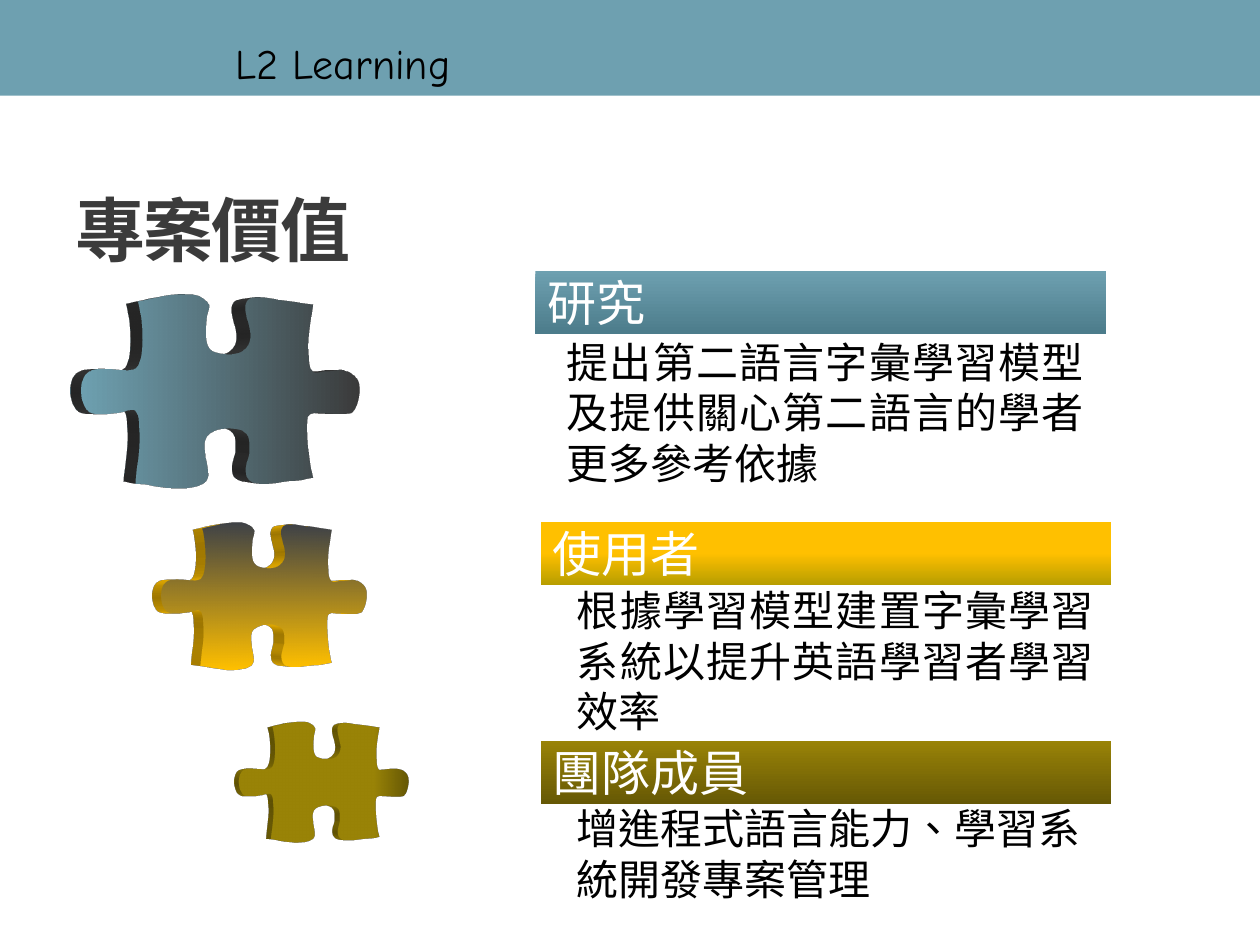
from lxml import etree
from pptx import Presentation
from pptx.dml.color import RGBColor
from pptx.enum.shapes import MSO_SHAPE
from pptx.enum.text import MSO_ANCHOR, PP_ALIGN
from pptx.oxml.ns import qn
from pptx.util import Inches, Pt

RECTANGLE = MSO_SHAPE.RECTANGLE
MIDDLE, TOP = MSO_ANCHOR.MIDDLE, MSO_ANCHOR.TOP
LEFT, JUSTIFY = PP_ALIGN.LEFT, PP_ALIGN.JUSTIFY

WHITE = RGBColor(0xFF, 0xFF, 0xFF)
BLACK = RGBColor(0x00, 0x00, 0x00)
CHARCOAL = RGBColor(0x3B, 0x3B, 0x3B)
SLATE = RGBColor(0x3F, 0x42, 0x47)
TEAL = RGBColor(0x6E, 0xA0, 0xB0)
DARK_TEAL = RGBColor(0x4C, 0x7C, 0x8B)
AMBER = RGBColor(0xFF, 0xC0, 0x00)
DARK_AMBER = RGBColor(0xB8, 0x9E, 0x00)
OLIVE = RGBColor(0x99, 0x83, 0x07)
DARK_OLIVE = RGBColor(0x66, 0x58, 0x05)

LATIN_FONT, CHINESE_FONT = "Comic Neue", "Noto Sans CJK SC"
RIGHTWARD, UPWARD, DOWNWARD = 0, 90, 270
BAND_SIZE, BODY_SIZE = (4.53, 0.5), (4.49, 1.18)

PIECE_GRID = (245, 155)
PIECE_START = (244, 74)
PIECE_CURVES = [
    (244, 67, 236, 60, 225, 60), (222, 60, 217, 61, 213, 61),
    (209, 61, 204, 63, 201, 62), (197, 61, 196, 54, 196, 50),
    (194, 35, 198, 19, 200, 7), (190, 6, 182, 5, 171, 4),
    (163, 4, 149, 0, 142, 4), (133, 10, 144, 25, 143, 34),
    (143, 42, 136, 47, 129, 48), (123, 49, 115, 48, 110, 46),
    (102, 42, 104, 28, 105, 19), (106, 16, 107, 13, 107, 10),
    (105, 6, 100, 3, 93, 2), (75, 1, 61, 6, 47, 9),
    (52, 24, 53, 55, 45, 60), (38, 65, 15, 56, 6, 64),
    (0, 69, 0, 83, 5, 90), (9, 97, 20, 95, 30, 94),
    (34, 94, 40, 91, 44, 92), (47, 93, 48, 99, 48, 104),
    (50, 120, 46, 133, 45, 148), (56, 149, 67, 152, 79, 153),
    (91, 153, 104, 152, 106, 145), (107, 142, 105, 133, 104, 130),
    (104, 126, 102, 120, 104, 115), (107, 106, 132, 104, 139, 111),
    (143, 114, 142, 122, 142, 127), (141, 132, 138, 137, 139, 142),
    (140, 156, 164, 151, 178, 150), (186, 150, 193, 149, 200, 148),
    (196, 135, 193, 108, 195, 99), (197, 90, 225, 100, 237, 95),
    (241, 92, 245, 81, 244, 74),
]

PIECES = [
    ((0.58, 2.33, 2.45, 1.55), [(0, TEAL), (1, CHARCOAL)], RIGHTWARD, CHARCOAL, 0.26),
    ((1.84, 5.72, 1.5, 0.97), [(0.78, OLIVE), (1, DARK_OLIVE)], RIGHTWARD, OLIVE, 0.1),
    ((1.22, 4.14, 1.81, 1.18), [(0, AMBER), (1, SLATE)], UPWARD, AMBER, 0.2),
]
SECTIONS = [
    ((4.25, 2.15), (4.21, 2.57), [(0, TEAL), (1, DARK_TEAL)], JUSTIFY,
     "研究", "提出第二語言字彙學習模型及提供關心第二語言的學者更多參考依據"),
    ((4.29, 4.14), (4.29, 4.54), [(0.5, AMBER), (1, DARK_AMBER)], JUSTIFY,
     "使用者", "根據學習模型建置字彙學習系統以提升英語學習者學習效率"),
    ((4.29, 5.88), (4.29, 6.27), [(0, OLIVE), (1, DARK_OLIVE)], LEFT,
     "團隊成員", "增進程式語言能力、學習系統開發專案管理"),
]


def inches(box):
    """Turn a box in inches into lengths."""
    return [Inches(value) for value in box]


def write(shape, text, size, color, name=CHINESE_FONT, anchor=MIDDLE, align=LEFT):
    """Write one formatted paragraph and return it."""
    frame = shape.text_frame
    frame.word_wrap = True
    frame.vertical_anchor = anchor
    paragraph = frame.paragraphs[0]
    paragraph.text = text
    paragraph.alignment = align
    font = paragraph.font
    font.size, font.name, font.color.rgb = Pt(size), name, color
    defaults = paragraph._p.pPr.find(qn("a:defRPr"))
    defaults.set("lang", "zh-TW")
    etree.SubElement(defaults, qn("a:ea"), typeface=name)
    return paragraph


def fill_gradient(shape, stops, angle):
    """Fill a shape with a two-stop linear gradient."""
    shape.fill.gradient()
    shape.fill.gradient_angle = angle
    for stop, (position, color) in zip(shape.fill.gradient_stops, stops):
        stop.position, stop.color.rgb = position, color


def extrude(shape, color, depth):
    """Give a shape depth in a turned perspective view."""
    properties = shape._element.spPr
    scene = etree.SubElement(properties, qn("a:scene3d"))
    camera = etree.SubElement(scene, qn("a:camera"), prst="legacyPerspectiveFront")
    etree.SubElement(camera, qn("a:rot"), lat="0", lon="20100000", rev="0")
    etree.SubElement(scene, qn("a:lightRig"), rig="legacyFlat3", dir="r")
    solid = etree.SubElement(properties, qn("a:sp3d"),
                             extrusionH=str(Inches(depth)), prstMaterial="legacyMatte")
    side = etree.SubElement(solid, qn("a:extrusionClr"))
    etree.SubElement(side, qn("a:srgbClr"), val=str(color))


def draw_curves(shape):
    """Give a freeform the curved outline of the puzzle piece."""
    outline = next(shape._element.spPr.iter(qn("a:path")))
    for child in list(outline):
        outline.remove(child)
    outline.set("w", str(PIECE_GRID[0]))
    outline.set("h", str(PIECE_GRID[1]))
    steps = [("a:moveTo", PIECE_START)]
    steps += [("a:cubicBezTo", curve) for curve in PIECE_CURVES]
    for tag, values in steps:
        step = etree.SubElement(outline, qn(tag))
        for x, y in zip(values[::2], values[1::2]):
            etree.SubElement(step, qn("a:pt"), x=str(x), y=str(y))
    etree.SubElement(outline, qn("a:close"))


def add_piece(slide, box, stops, angle, side_color, depth):
    """Draw one puzzle piece in a box."""
    left, top, width, height = inches(box)
    builder = slide.shapes.build_freeform(left, top)
    builder.add_line_segments([(left + width, top + height)])
    piece = builder.convert_to_shape()
    draw_curves(piece)
    fill_gradient(piece, stops, angle)
    piece.line.color.rgb = WHITE
    piece.line.width = Pt(1.5)
    piece.shadow.inherit = False
    extrude(piece, side_color, depth)


def add_section(slide, band_corner, body_corner, stops, align, heading, body):
    """Draw a heading band with its explanation."""
    band = slide.shapes.add_shape(RECTANGLE, *inches(band_corner + BAND_SIZE))
    fill_gradient(band, stops, DOWNWARD)
    band.line.fill.background()
    band.shadow.inherit = False
    write(band, heading, 28, WHITE)
    text_box = slide.shapes.add_textbox(*inches(body_corner + BODY_SIZE))
    frame = text_box.text_frame
    frame.margin_top = frame.margin_bottom = Inches(0.1)
    paragraph = write(text_box, body, 24, BLACK, anchor=TOP, align=align)
    paragraph.level = 1
    paragraph._p.pPr.set("marL", str(Inches(0.19)))
    paragraph._p.pPr.set("indent", "0")


def add_header(slide, box):
    """Draw the top band with the course name."""
    band = slide.shapes.add_shape(RECTANGLE, *inches(box))
    band.fill.solid()
    band.fill.fore_color.rgb = TEAL
    band.line.fill.background()
    band.shadow.inherit = False
    label = slide.shapes.add_textbox(*inches((1.77, 0.25, 2.99, 0.5)))
    write(label, "L2 Learning", 24, BLACK, LATIN_FONT, TOP)


def add_title(slide, box):
    """Place and format the slide title."""
    title = slide.shapes.title
    title.left, title.top, title.width, title.height = inches(box)
    paragraph = write(title, "專案價值", 40, CHARCOAL)
    paragraph.font.bold = True
    paragraph._p.pPr.find(qn("a:defRPr")).set("spc", "-100")


def main():
    """Build and save the presentation."""
    presentation = Presentation()
    presentation.slide_width, presentation.slide_height = inches((10, 7.5))
    slide = presentation.slides.add_slide(presentation.slide_layouts[5])
    add_header(slide, (0, 0, 10, 0.76))
    for piece in PIECES:
        add_piece(slide, *piece)
    for section in SECTIONS:
        add_section(slide, *section)
    add_title(slide, (0.5, 1.23, 9, 1.17))
    presentation.save("out.pptx")


if __name__ == "__main__":
    main()
